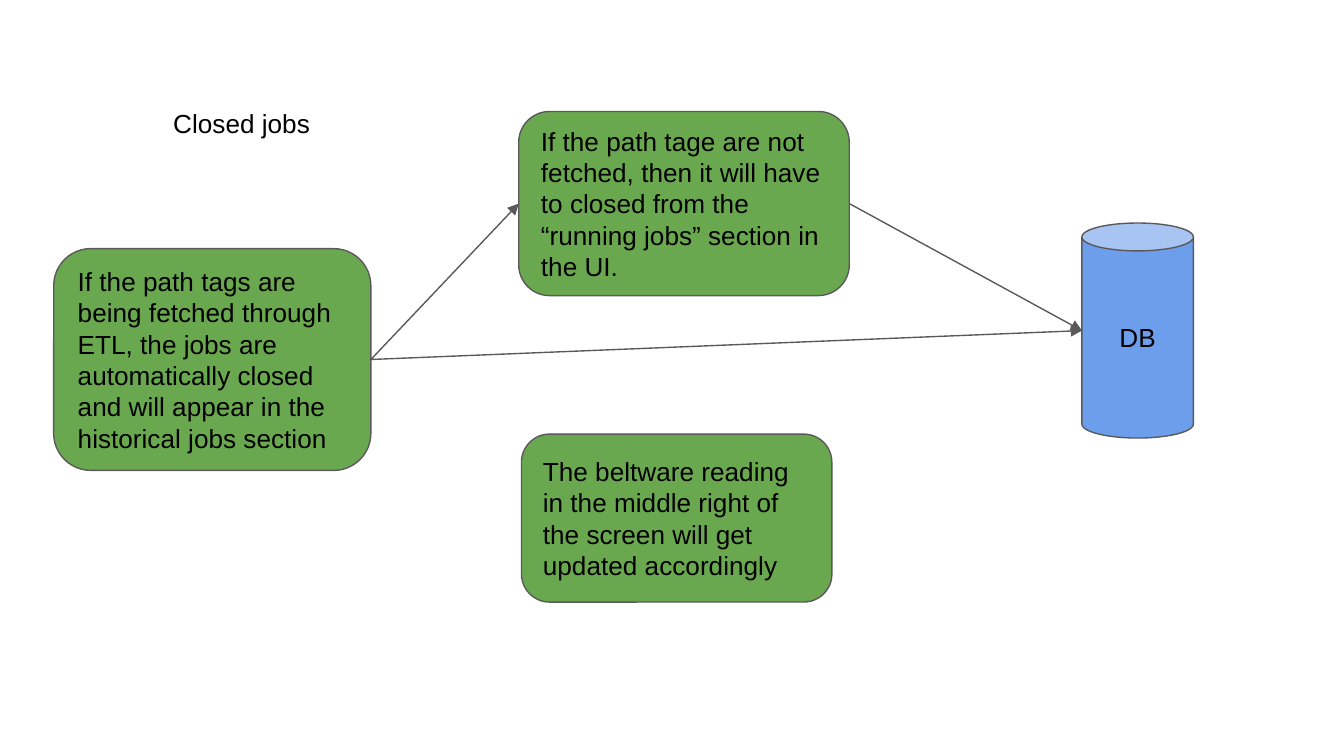
from lxml import etree
from pptx import Presentation
from pptx.dml.color import RGBColor
from pptx.enum.shapes import MSO_CONNECTOR, MSO_SHAPE
from pptx.enum.text import MSO_ANCHOR, PP_ALIGN
from pptx.oxml.ns import qn
from pptx.util import Inches, Pt

ROUNDED = MSO_SHAPE.ROUNDED_RECTANGLE
CAN = MSO_SHAPE.CAN
STRAIGHT = MSO_CONNECTOR.STRAIGHT
TOP, MIDDLE = MSO_ANCHOR.TOP, MSO_ANCHOR.MIDDLE
LEFT, CENTER = PP_ALIGN.LEFT, PP_ALIGN.CENTER
LEFT_SIDE, RIGHT_SIDE = 1, 3

COLORS = {"step": "6AA84F", "database": "6D9EEB", "line": "595959", "text": "000000"}


def color(name):
    return RGBColor.from_string(COLORS[name])


def write_text(shape, text, anchor, alignment):
    frame = shape.text_frame
    frame.word_wrap = True
    frame.vertical_anchor = anchor
    frame.margin_left = frame.margin_right = Inches(0.1)
    frame.margin_top = frame.margin_bottom = Inches(0.1)
    paragraph = frame.paragraphs[0]
    paragraph.alignment = alignment
    run = paragraph.add_run()
    run.text = text
    run.font.name = "Arial"
    run.font.size = Pt(14)
    run.font.color.rgb = color("text")


presentation = Presentation()
presentation.slide_width = Inches(10)
presentation.slide_height = Inches(10 * 9 / 16)
slide = presentation.slides.add_slide(presentation.slide_layouts[6])

title = slide.shapes.add_textbox(Inches(1.19), Inches(0.7), Inches(1.45), Inches(0.47))
write_text(title, "Closed jobs", TOP, LEFT)

# name: (preset, adjustment, fill, alignment, (left, top, width, height), text)
nodes = {
    "fetched": (ROUNDED, 0.167, "step", LEFT, (0.4, 1.85, 2.36, 1.65),
                "If the path tags are being fetched through ETL, the jobs are "
                "automatically closed and will appear in the historical jobs section"),
    "not fetched": (ROUNDED, 0.167, "step", LEFT, (3.86, 0.83, 2.46, 1.37),
                    "If the path tage are not fetched, then it will have to closed "
                    "from the “running jobs” section in the UI."),
    "database": (CAN, 0.25, "database", CENTER, (8.05, 1.66, 0.83, 1.6), "DB"),
    "reading": (ROUNDED, 0.167, "step", LEFT, (3.88, 3.23, 2.31, 1.25),
                "The beltware reading in the middle right of the screen will get "
                "updated accordingly"),
}
shapes = {}
for name, (preset, adjustment, fill, alignment, box, text) in nodes.items():
    shape = slide.shapes.add_shape(preset, *map(Inches, box))
    shape.adjustments[0] = adjustment
    shape.shadow.inherit = False
    shape.fill.solid()
    shape.fill.fore_color.rgb = color(fill)
    shape.line.color.rgb = color("line")
    shape.line.width = Pt(0.75)
    write_text(shape, text, MIDDLE, alignment)
    shapes[name] = shape

for start, end in (("fetched", "not fetched"), ("not fetched", "database"),
                   ("fetched", "database")):
    source, target = shapes[start], shapes[end]
    arrow = slide.shapes.add_connector(
        STRAIGHT,
        source.left + source.width, source.top + source.height // 2,
        target.left, target.top + target.height // 2)
    arrow.begin_connect(source, RIGHT_SIDE)
    # A can numbers its connection sites differently, so that end stays free.
    if end != "database":
        arrow.end_connect(target, LEFT_SIDE)
    arrow.line.color.rgb = color("line")
    arrow.line.width = Pt(0.75)
    etree.SubElement(arrow.line._get_or_add_ln(), qn("a:tailEnd"), type="triangle")
    etree.SubElement(arrow._element.spPr, qn("a:effectLst"))

presentation.save("out.pptx")
